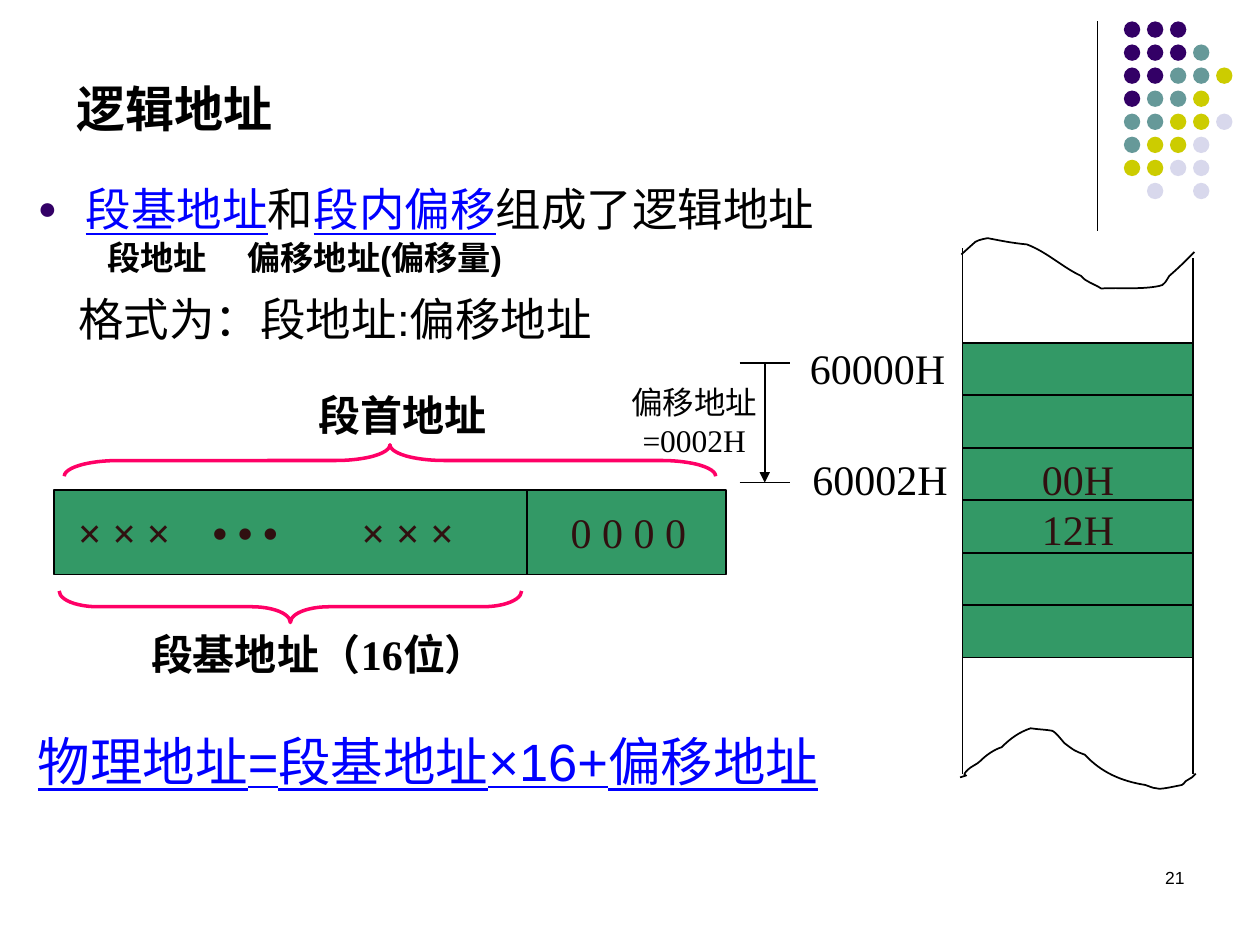
from dataclasses import dataclass
from lxml import etree
from pptx import Presentation
from pptx import util as u
from pptx.dml.color import RGBColor
from pptx.enum import shapes as sh, text as tx
from pptx.oxml.ns import qn

Inches, Pt = u.Inches, u.Pt


@dataclass(frozen=True)
class Theme:
    sans: str = "Arial"
    serif: str = "Times New Roman"
    ink: str = "000000"
    link: str = "0000FF"
    cell: str = "339966"
    mark: str = "301010"
    brace: str = "FF0066"
    plum: str = "330066"
    teal: str = "669999"
    lime: str = "CCCC00"
    pale: str = "D8D8EC"
    title: int = 28
    lead: int = 26
    sub: int = 19
    sum: int = 30
    label: int = 24
    note: int = 18
    page: int = 10


T = Theme()


def style(font, size, color=T.ink, name=T.sans, bold=False, under=None):
    font.size, font.name, font.bold, font.underline = Pt(size), name, bold, under
    font.color.rgb = RGBColor.from_string(color)


def stroke(line, color=T.ink, width=1):
    line.color.rgb = RGBColor.from_string(color)
    line.width = Pt(width)


def rule(slide, x1, y1, x2, y2, width=1.0, arrow=False):
    line = slide.shapes.add_connector(sh.MSO_CONNECTOR.STRAIGHT, *map(Inches, (x1, y1, x2, y2)))
    stroke(line.line, width=width)
    props = line._element.spPr
    if arrow:
        etree.SubElement(props.find(qn("a:ln")), qn("a:tailEnd"), type="triangle")
    etree.SubElement(props, qn("a:effectLst"))


def block(slide, kind, x, y, w, h, fill=None, edge=None, width=1):
    box = slide.shapes.add_shape(kind, *map(Inches, (x, y, w, h)))
    box.shadow.inherit = False
    if fill:
        box.fill.solid()
        box.fill.fore_color.rgb = RGBColor.from_string(fill)
    else:
        box.fill.background()
    if edge:
        stroke(box.line, edge, width)
    else:
        box.line.fill.background()
    return box


def label(slide, x, y, w, h, words, size=T.label, color=T.ink, name=T.serif,
          bold=False, align=None, tab=None, inset=True):
    frame = slide.shapes.add_textbox(*map(Inches, (x, y, w, h))).text_frame
    frame.word_wrap = True
    if not inset:
        frame.margin_left = frame.margin_right = frame.margin_top = frame.margin_bottom = 0
    para = frame.paragraphs[0]
    para.text = words
    para.alignment = align
    if tab:
        tabs = etree.SubElement(para._p.get_or_add_pPr(), qn("a:tabLst"))
        etree.SubElement(tabs, qn("a:tab"), pos=str(Inches(tab)), algn="l")
    style(para.font, size, color, name, bold)


def brace(slide, x, y, w, h, turn, bend):
    """A left brace laid on its side, filling the box x, y, w, h."""
    mid_x, mid_y = x + w / 2, y + h / 2
    shape = block(slide, sh.MSO_SHAPE.LEFT_BRACE, mid_x - h / 2, mid_y - w / 2, h, w,
                  edge=T.brace, width=2)
    shape.adjustments[0] = bend
    shape.rotation = turn


def curve(slide, start, parts):
    """An open outline through cubic parts, each (control, control, end)."""
    grid = 100
    first, *rest = [(x * grid, y * grid) for x, y in [start] + [p for part in parts for p in part]]
    outline = slide.shapes.build_freeform(*first, scale=Inches(1) / grid)
    outline.add_line_segments(rest, close=False)
    shape = outline.convert_to_shape()
    # Join every three straight steps into one cubic step
    steps = list(shape._element.iter(qn("a:lnTo")))
    for i in range(0, len(steps), 3):
        cubic = etree.Element(qn("a:cubicBezTo"))
        steps[i].addprevious(cubic)
        for step in steps[i:i + 3]:
            cubic.append(step[0])
            step.getparent().remove(step)
    shape.shadow.inherit = False
    shape.fill.background()
    stroke(shape.line)


def dots(slide, x, y, step=0.183, size=0.13):
    rule(slide, x - 0.21, y, x - 0.21, y + 1.66, 0.75)
    hues = {"P": T.plum, "T": T.teal, "Y": T.lime, "L": T.pale}
    rows = ["PPP", "PPPT", "PPTTY", "PTTY", "TTYYL", "TYYL", "YYLL", "-L-L"]
    for r, row in enumerate(rows):
        for c, key in enumerate(row):
            if key in hues:
                block(slide, sh.MSO_SHAPE.OVAL, x + c * step, y + r * step, size, size, hues[key])


def place(shape, x, y, w, h):
    shape.left, shape.top, shape.width, shape.height = map(Inches, (x, y, w, h))
    shape.text_frame.auto_size = tx.MSO_AUTO_SIZE.NONE
    return shape.text_frame


def heading(slide, x, y, w, h):
    frame = place(slide.shapes.title, x, y, w, h)
    frame.vertical_anchor = tx.MSO_ANCHOR.BOTTOM
    para = frame.paragraphs[0]
    para.text = "逻辑地址"
    para.alignment = tx.PP_ALIGN.LEFT
    style(para.font, T.title, bold=True)


def body(slide, x, y, w, h):
    frame = place(slide.placeholders[1], x, y, w, h)
    frame.vertical_anchor = tx.MSO_ANCHOR.TOP
    # Each line: runs, size, first indent, space before, line spacing
    lines = [
        (["段基地址", "和", "段内偏移", "组成了逻辑地址"], T.lead, -0.38, 0, 1.0),
        (["段地址", " ", "偏移地址(偏移量)"], T.sub, 0.55, 0, 0.8),
        (["格式为：段地址:偏移地址"], T.lead, 0.32, 6.5, 1.0),
        (["物理地址=段基地址×16+偏移地址"], T.sum, 0, 219, 1.0),
    ]
    for i, (runs, size, indent, gap, lead) in enumerate(lines):
        para = frame.paragraphs[0] if i == 0 else frame.add_paragraph()
        para.space_before, para.line_spacing = Pt(gap), lead
        props = para._p.get_or_add_pPr()
        props.set("marL", str(Inches(0.38 if i == 0 else 0)))
        props.set("indent", str(Inches(indent)))
        if i == 0:
            hue = etree.SubElement(props, qn("a:buClr"))
            etree.SubElement(hue, qn("a:srgbClr"), val=T.plum)
            etree.SubElement(props, qn("a:buSzPct"), val="70000")
            etree.SubElement(props, qn("a:buChar"), char="●")
        else:
            etree.SubElement(props, qn("a:buNone"))
        last = i == len(lines) - 1
        style(para.font, size, T.link if last else T.ink, bold=size == T.sub, under=last or None)
        for words in runs:
            run = para.add_run()
            run.text = words
            if words == " ":  # one wide space between the two terms
                run.font.size = Pt(T.lead)
                run._r.get_or_add_rPr().set("spc", "1750")
    for run in frame.paragraphs[0].runs[::2]:
        style(run.font, T.lead, T.link, under=True)


def memory(slide, x, y, w, h, count=6):
    step = h / count
    for i in range(count):
        block(slide, sh.MSO_SHAPE.RECTANGLE, x, y + i * step, w, step, T.cell, T.ink)
    rule(slide, x, y - 0.75, x, y + 3.42)
    rule(slide, x + w, y - 0.67, x + w, y + 3.42)
    # Torn top and bottom edges
    curve(slide, (7.63, 2.02), [
        ((7.65, 2), (7.73, 1.93), (7.74, 1.92)), ((7.77, 1.9), (7.84, 1.89), (7.84, 1.89)),
        ((7.94, 1.91), (8.04, 1.93), (8.15, 1.94)), ((8.31, 2), (8.43, 2.12), (8.58, 2.19)),
        ((8.62, 2.24), (8.68, 2.25), (8.74, 2.29)), ((8.89, 2.28), (9.05, 2.3), (9.2, 2.27)),
        ((9.24, 2.27), (9.26, 2.22), (9.28, 2.19)), ((9.35, 2.13), (9.41, 2.07), (9.48, 2))])
    curve(slide, (7.62, 6.17), [
        ((7.74, 6.13), (7.6, 6.19), (7.68, 6.11)), ((7.71, 6.08), (7.75, 6.07), (7.78, 6.04)),
        ((7.83, 5.99), (7.89, 5.95), (7.95, 5.93)), ((8.02, 5.86), (8.09, 5.81), (8.18, 5.78)),
        ((8.24, 5.79), (8.3, 5.79), (8.35, 5.8)), ((8.38, 5.81), (8.43, 5.88), (8.45, 5.9)),
        ((8.53, 5.96), (8.53, 5.96), (8.61, 5.99)), ((8.74, 6.13), (8.9, 6.2), (9.09, 6.23)),
        ((9.2, 6.27), (9.18, 6.27), (9.38, 6.23)), ((9.39, 6.23), (9.4, 6.21), (9.41, 6.2)),
        ((9.43, 6.19), (9.44, 6.18), (9.46, 6.17)), ((9.47, 6.16), (9.49, 6.14), (9.49, 6.14))])
    # Addresses and stored bytes
    label(slide, x - 1.31, y - 0.05, 1.33, 0.5, "60000H")
    label(slide, x - 1.29, y + 0.83, 1.33, 0.5, "60002H")
    for top, words in [(0.83, "00H"), (1.23, "12H")]:
        label(slide, x + 0.53, y + top, 0.92, 0.5, words, color=T.mark)


def bits(slide, x, y, w, h):
    block(slide, sh.MSO_SHAPE.RECTANGLE, x, y, w, h, T.cell, T.ink)
    rule(slide, x + 3.75, y, x + 3.75, y + h)
    row = y + 0.08
    label(slide, x + 0.09, row, 2.33, 0.5, "× × ×\t• • •", color=T.mark, bold=True, tab=1.07)
    label(slide, x + 2.34, row, 1.5, 0.5, "× × ×", color=T.mark, bold=True)
    label(slide, x + 4, row, 1.25, 0.5, "0 0 0 0", color=T.mark)
    # Braces over the whole address and under the base
    brace(slide, x + 0.08, y - 0.36, 5.17, 0.25, 90, 1.72)
    label(slide, x + 2, y - 0.85, 1.58, 0.5, "段首地址", bold=True)
    brace(slide, x + 0.04, y + 0.8, 3.67, 0.25, 270, 1.22)
    label(slide, x + 0.67, y + 1.05, 3.12, 0.5, "段基地址（16位）", bold=True)


def offset(slide, x, y, w, h):
    for level in (y, y + h):
        rule(slide, x, level, x + w, level)
    rule(slide, x + w / 2, y, x + w / 2, y + h, arrow=True)
    label(slide, x - 0.87, y + 0.16, 1.02, 0.6, "偏移地址=0002H", T.note,
          align=tx.PP_ALIGN.CENTER, inset=False)


def main():
    deck = Presentation()
    deck.slide_width, deck.slide_height = Inches(10), Inches(7.5)
    slide = deck.slides.add_slide(deck.slide_layouts[1])
    dots(slide, 8.92, 0.17)
    heading(slide, 0.51, 0.6, 8.5, 0.54)
    body(slide, 0.2, 1.39, 9.45, 5.51)
    memory(slide, 7.64, 2.72, 1.83, 2.5)
    bits(slide, 0.43, 3.89, 5.33, 0.67)
    offset(slide, 5.87, 2.88, 0.4, 0.95)
    label(slide, 7.17, 6.83, 2.33, 0.5, "21", T.page, name=T.sans, align=tx.PP_ALIGN.RIGHT)
    deck.save("out.pptx")


if __name__ == "__main__":
    main()
